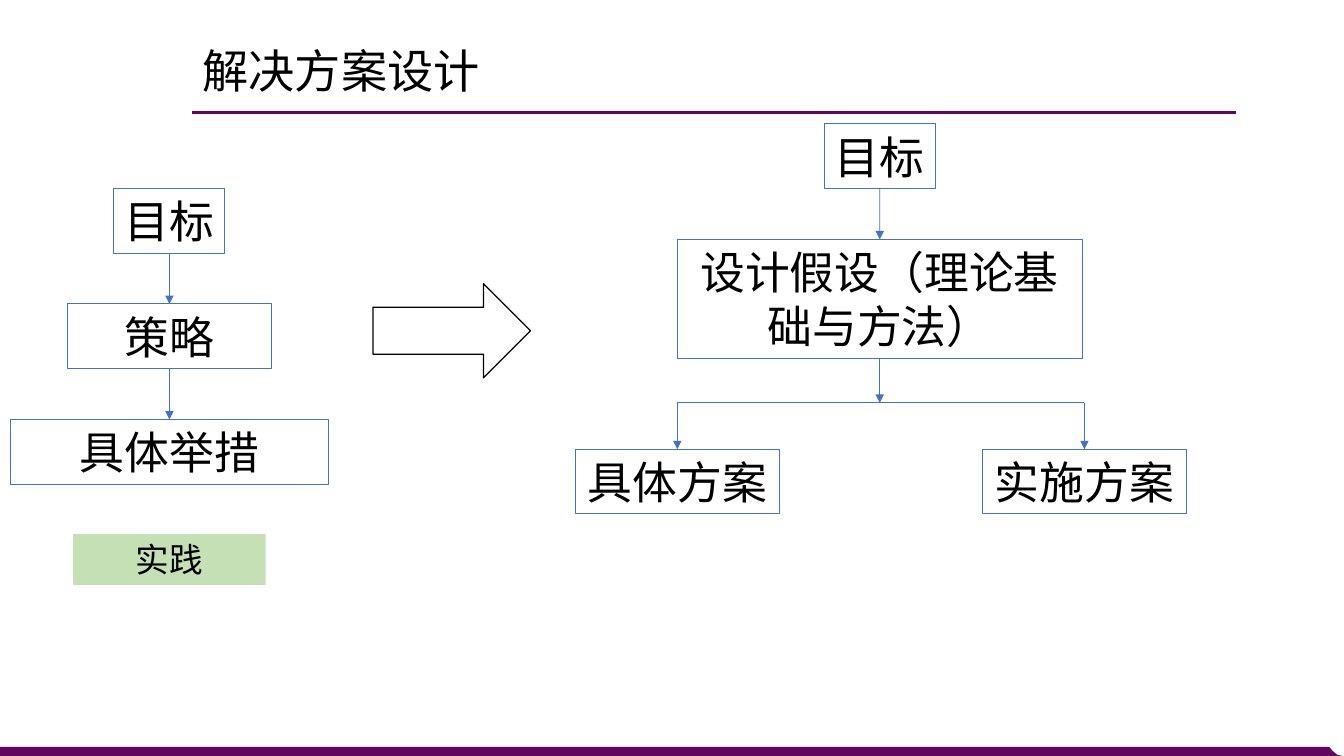
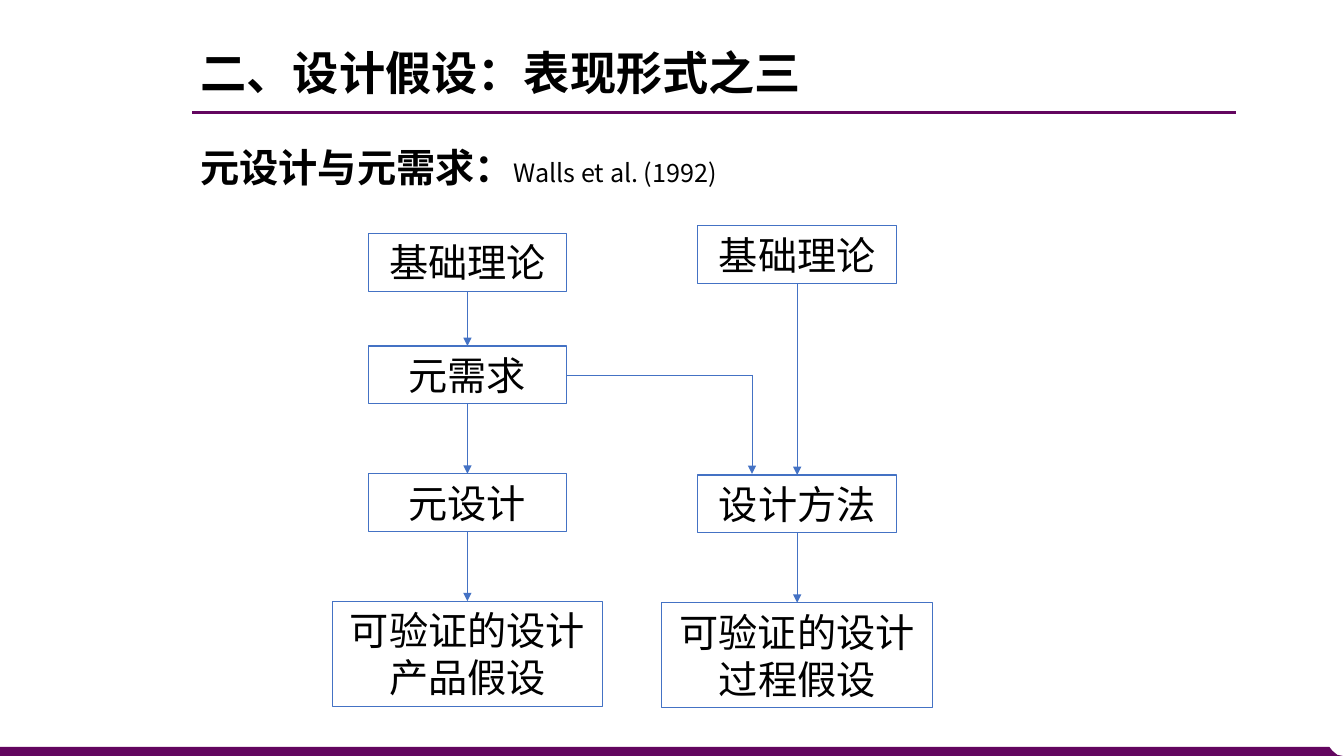
import pptx
import pptx.util
import pptx.dml.color
import pptx.enum.shapes
import pptx.enum.text
import pptx.oxml.ns
from lxml import etree

Cm = pptx.util.Cm
Pt = pptx.util.Pt
RGBColor = pptx.dml.color.RGBColor
SHAPE = pptx.enum.shapes.MSO_SHAPE
STRAIGHT = pptx.enum.shapes.MSO_CONNECTOR.STRAIGHT
ALIGN = pptx.enum.text.PP_ALIGN
ANCHOR = pptx.enum.text.MSO_ANCHOR
AUTO = pptx.enum.text.MSO_AUTO_SIZE
qn = pptx.oxml.ns.qn

PURPLE = RGBColor(0x63, 0x06, 0x5F)
BLUE = RGBColor(0x44, 0x72, 0xC4)
GREEN = RGBColor(0xC5, 0xE0, 0xB4)
BLACK = RGBColor(0, 0, 0)
CJK = "Noto Sans CJK SC"
HEAD = "Arial"
TOP, BOTTOM, RIGHT = 0, 2, 3  # connection sites of a rectangle


# Text and lines
def add_run(p, text, size, font=CJK, bold=False):
    r = p.add_run()
    r.text = text
    r.font.size = Pt(size)
    r.font.name = font
    r.font.bold = bold
    r.font.color.rgb = BLACK
    etree.SubElement(r.font._element, qn("a:ea")).set("typeface", CJK)


def add_line(s, start, end, color=BLUE, width=0.5, arrow=False):
    """Join two ends, each an (x, y) in cm or a (shape, site) pair."""
    joined = [not isinstance(e[0], (int, float)) for e in (start, end)]
    (x1, y1), (x2, y2) = [(0, 0) if j else e for j, e in zip(joined, (start, end))]
    line = s.shapes.add_connector(STRAIGHT, Cm(x1), Cm(y1), Cm(x2), Cm(y2))
    if joined[0]:
        line.begin_connect(*start)
    if joined[1]:
        line.end_connect(*end)
    line.line.color.rgb = color
    line.line.width = Pt(width)
    if arrow:
        etree.SubElement(line.line._get_or_add_ln(), qn("a:tailEnd")).set("type", "triangle")
    etree.SubElement(line.element.spPr, qn("a:effectLst"))
    return line


# Boxes, placed by the middle of their top side
def add_box(s, cx, top, width, height, text, size, fill=None):
    sp = s.shapes.add_shape(SHAPE.RECTANGLE, Cm(cx - width / 2), Cm(top), Cm(width), Cm(height))
    sp.shadow.inherit = False
    if fill is None:
        sp.fill.background()
        sp.line.color.rgb = BLUE
        sp.line.width = Pt(0.75)
    else:
        sp.fill.solid()
        sp.fill.fore_color.rgb = fill
        sp.line.fill.background()
    tf = sp.text_frame
    tf.word_wrap = True
    tf.vertical_anchor = ANCHOR.MIDDLE
    p = tf.paragraphs[0]
    p.alignment = ALIGN.CENTER
    add_run(p, text, size)
    return sp


def add_flow(s, cx, top, size, steps):
    """Stack (text, width, height, gap below) steps, joined by arrows."""
    boxes = []
    for text, width, height, gap in steps:
        boxes.append(add_box(s, cx, top, width, height, text, size))
        top += height + gap
    for upper, lower in zip(boxes, boxes[1:]):
        add_line(s, (upper, BOTTOM), (lower, TOP), arrow=True)
    return boxes


def add_branch(s, parent, bar_y, top, children):
    """Split below a box into (text, centre) children."""
    cx = (parent.left + parent.width / 2) / Cm(1)
    add_line(s, (parent, BOTTOM), (cx, bar_y), arrow=True)
    add_line(s, (children[0][1], bar_y), (children[-1][1], bar_y))
    for text, x in children:
        box = add_box(s, x, top, 5.13, 1.63, text, 32)
        add_line(s, (x, bar_y), (box, TOP), arrow=True)


# Placeholders
def place(sp, left, top, width, height, anchor):
    sp.left, sp.top, sp.width, sp.height = Cm(left), Cm(top), Cm(width), Cm(height)
    tf = sp.text_frame
    tf.word_wrap = True
    tf.auto_size = AUTO.NONE
    tf.vertical_anchor = anchor
    p = tf.paragraphs[0]
    p.alignment = ALIGN.LEFT
    p.space_before = Pt(0)
    return p


def set_title(s, text, left, top, width, bold=False):
    p = place(s.shapes.title, left, top, width, 1.35, ANCHOR.MIDDLE)
    p.line_spacing = 0.9
    add_run(p, text, 33, HEAD, bold)


def set_lead(s, text, source):
    p = place(s.placeholders[1], 4.8, 3.48, 24.26, 1.45, ANCHOR.TOP)
    pPr = p._p.get_or_add_pPr()
    pPr.set("marL", "0")
    pPr.set("indent", "0")
    etree.SubElement(pPr, qn("a:buNone"))
    add_run(p, text, 28, HEAD, True)
    add_run(p, source, 18)


# Title rule and bottom band, drawn once and moved to the master
def dress_master(prs, s):
    outline = [(33.5, 18.82), (33.58, 18.92), (33.7, 19.02), (33.84, 19.05), (0, 19.05)]
    builder = s.shapes.build_freeform(Cm(0), Cm(18.82))
    builder.add_line_segments([(Cm(x), Cm(y)) for x, y in outline], close=True)
    band = builder.convert_to_shape()
    band.shadow.inherit = False
    band.fill.solid()
    band.fill.fore_color.rgb = PURPLE
    band.line.fill.background()
    rule = add_line(s, (4.85, 2.84), (31.14, 2.84), PURPLE, 2.25)
    for number, part in enumerate((band, rule), 101):
        part.element.xpath(".//p:cNvPr")[0].set("id", str(number))
        prs.slide_master.element.cSld.spTree.append(part.element)


# Slides
def solution_slide(s):
    set_title(s, "解决方案设计", 4.85, 1.17, 18.21)
    # Practice
    add_flow(s, 4.27, 4.75, 32, [
        ("目标", 2.8, 1.63, 1.28),
        ("策略", 5.13, 1.63, 1.28),
        ("具体举措", 8.03, 1.63, 0),
    ])
    add_box(s, 4.27, 13.46, 4.85, 1.28, "实践", 24, GREEN)
    # Step to the design view
    arrow = s.shapes.add_shape(SHAPE.RIGHT_ARROW, Cm(9.4), Cm(7.15), Cm(3.97), Cm(2.37))
    arrow.shadow.inherit = False
    arrow.fill.background()
    arrow.line.color.rgb = BLACK
    arrow.line.width = Pt(1)
    # Design
    boxes = add_flow(s, 22.17, 3.12, 32, [
        ("目标", 2.8, 1.63, 1.28),
        ("设计假设（理论基础与方法）", 10.21, 3, 0),
    ])
    add_branch(s, boxes[-1], 10.15, 11.32, [("具体方案", 17.07), ("实施方案", 27.33)])


def hypothesis_slide(s):
    set_title(s, "二、设计假设：表现形式之三", 4.8, 1.24, 16.2, True)
    set_lead(s, "元设计与元需求：", "Walls et al. (1992)")
    # Product column
    product = add_flow(s, 11.78, 5.88, 28, [
        ("基础理论", 5, 1.46, 1.38),
        ("元需求", 5, 1.46, 1.76),
        ("元设计", 5, 1.46, 1.75),
        ("可验证的设计产品假设", 6.82, 2.65, 0),
    ])
    # Process column
    add_flow(s, 20.09, 5.69, 28, [
        ("基础理论", 5, 1.46, 4.82),
        ("设计方法", 5, 1.46, 1.76),
        ("可验证的设计过程假设", 6.82, 2.65, 0),
    ])
    # Requirements feed the design method
    corner = (18.95, 9.45)
    add_line(s, (product[1], RIGHT), corner)
    add_line(s, corner, (corner[0], 11.94), arrow=True)


def main():
    prs = pptx.Presentation()
    prs.slide_width, prs.slide_height = Cm(33.87), Cm(19.05)
    first = prs.slides.add_slide(prs.slide_layouts[5])
    dress_master(prs, first)
    solution_slide(first)
    hypothesis_slide(prs.slides.add_slide(prs.slide_layouts[1]))
    prs.save("out.pptx")


if __name__ == "__main__":
    main()
